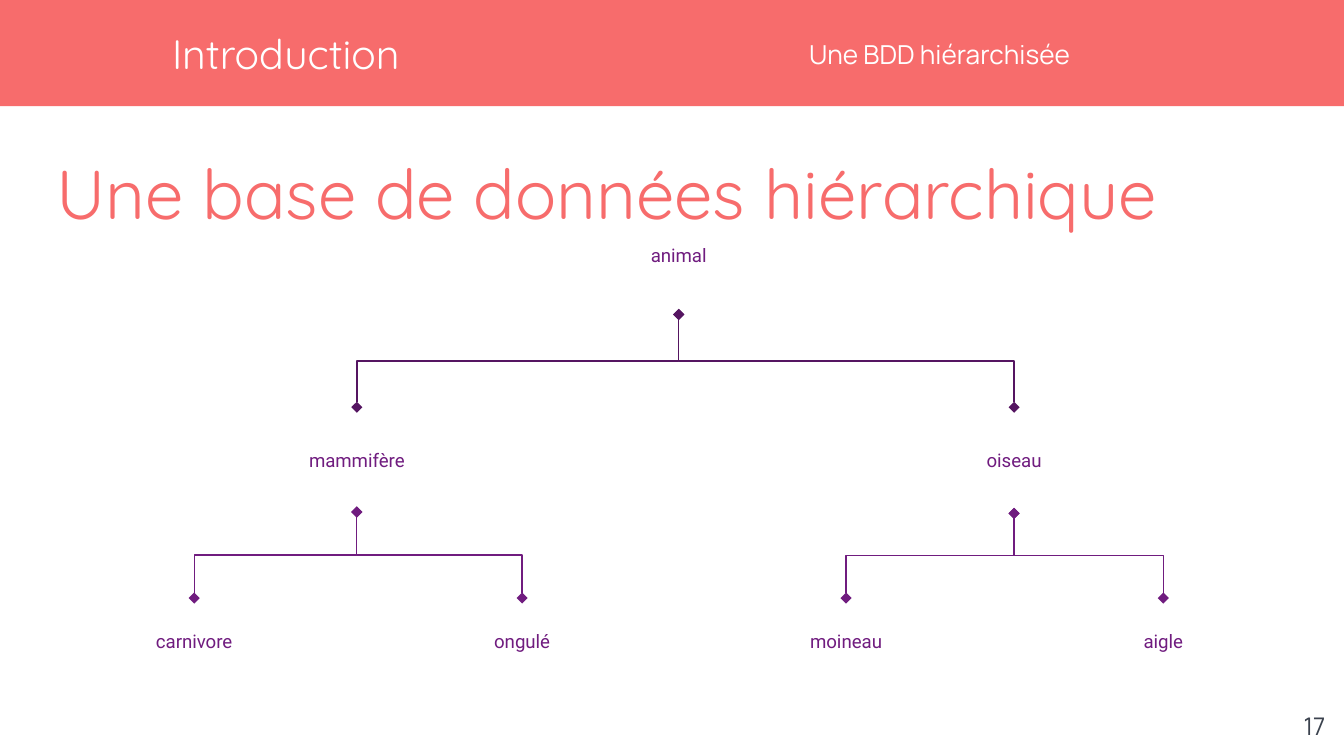
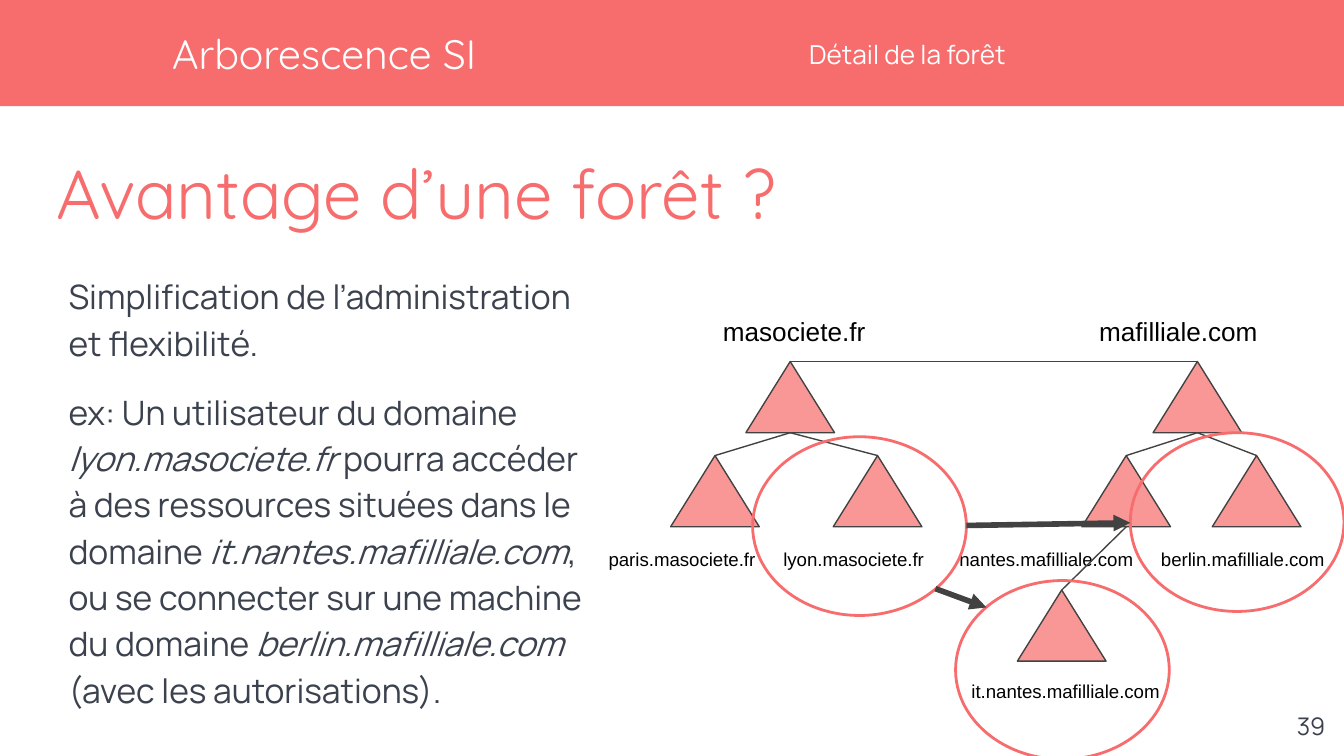
from dataclasses import dataclass
from typing import NamedTuple

from lxml.etree import SubElement
from pptx import Presentation
from pptx.dml.color import RGBColor
from pptx.enum.shapes import MSO_CONNECTOR as Connector, MSO_SHAPE as Preset
from pptx.enum.text import MSO_ANCHOR as Anchor, MSO_AUTO_SIZE as AutoSize, PP_ALIGN as Align
from pptx.oxml.ns import qn
from pptx.util import Emu, Inches, Pt

SLIDE_WIDTH, SLIDE_HEIGHT = Inches(10), Inches(5.625)
COLUMN = SLIDE_WIDTH / 100
ROW = SLIDE_HEIGHT / 56.25
COMPARISON_LAYOUT = 4


class Box(NamedTuple):
    """An area in grid columns and rows."""
    left: float
    top: float
    width: float
    height: float

    @property
    def center(self) -> float:
        return self.left + self.width / 2

    @property
    def bottom(self) -> float:
        return self.top + self.height

    def lengths(self) -> tuple:
        return (columns(self.left), rows(self.top), columns(self.width), rows(self.height))


class Point(NamedTuple):
    column: float
    row: float


@dataclass(frozen=True)
class TextStyle:
    font: str
    size: float
    color: str
    align: Align = Align.LEFT
    anchor: Anchor = Anchor.MIDDLE
    inset: float = 0
    spacing: float = 1.0
    wrap: bool = True


@dataclass(frozen=True)
class Theme:
    coral: str = "F76C6C"
    pink: str = "F99797"
    plum: str = "551561"
    purple: str = "701C7F"
    gray: str = "424242"
    thin: float = 0.75
    ring: float = 1.5
    thick: float = 3
    section: TextStyle = TextStyle("Quicksand", 22, "FFFFFF")
    topic: TextStyle = TextStyle("Manrope", 14, "FFFFFF")
    heading: TextStyle = TextStyle("Quicksand", 37, "F76C6C", anchor=Anchor.TOP)
    body: TextStyle = TextStyle("Manrope", 18, "3B424E", spacing=1.15)
    number: TextStyle = TextStyle("Manrope", 13, "3B424E", Align.RIGHT, Anchor.TOP, 1)
    node: TextStyle = TextStyle("Roboto", 10, "701C7F", Align.CENTER, inset=1)
    root_domain: TextStyle = TextStyle("Arial", 14, "000000", anchor=Anchor.TOP, inset=1, wrap=False)
    domain: TextStyle = TextStyle("Arial", 10, "000000", anchor=Anchor.TOP, inset=1, wrap=False)


THEME = Theme()
BAND = Box(-0.2, 0, 100.4, 7.9)
SECTION = Box(12.8, 0, 46.9, 7.9)
TOPIC = Box(60.2, 2.1, 38.4, 3.9)
HEADING = Box(4.2, 11.2, 92.6, 5.8)
NUMBER = Box(93.6, 51.9, 6, 4.3)


@dataclass(frozen=True)
class Node:
    text: str
    box: Box
    color: str = THEME.purple
    children: tuple = ()


@dataclass(frozen=True)
class Domain:
    name: str
    apex: Point
    label: Box
    style: TextStyle = THEME.domain
    children: tuple = ()


class BodyText(NamedTuple):
    placeholder: int
    box: Box
    pieces: tuple


LEAF_TOP, LEAF_HEIGHT = 44.5, 6.4
ANIMALS = Node("animal", Box(42.1, 14.5, 16.8, 8.9), THEME.plum, (
    Node("mammifère", Box(16.9, 30.3, 19.3, 7.8), children=(
        Node("carnivore", Box(2.3, LEAF_TOP, 24.3, LEAF_HEIGHT)),
        Node("ongulé", Box(26.7, LEAF_TOP, 24.3, LEAF_HEIGHT)))),
    Node("oiseau", Box(64.7, 30.3, 21.5, 7.9), children=(
        Node("moineau", Box(51, LEAF_TOP, 23.9, LEAF_HEIGHT)),
        Node("aigle", Box(74.6, LEAF_TOP, 23.9, LEAF_HEIGHT)))),
))

TRIANGLE_WIDTH, TRIANGLE_HEIGHT = 6.6, 5.3
ROOT_ROW, CHILD_ROW, GRANDCHILD_ROW = 26.9, 33.9, 43.9
ROOT_LABEL, CHILD_LABEL = 22.5, 39.8
FOREST = (
    Domain("masociete.fr", Point(58.8, ROOT_ROW), Box(52.8, ROOT_LABEL, 13.3, 4.4),
           THEME.root_domain, (
        Domain("paris.masociete.fr", Point(53.2, CHILD_ROW), Box(44.3, CHILD_LABEL, 13, 3.7)),
        Domain("lyon.masociete.fr", Point(65.3, CHILD_ROW), Box(57.3, CHILD_LABEL, 12.7, 3.7)))),
    Domain("mafilliale.com", Point(89.1, ROOT_ROW), Box(80.8, ROOT_LABEL, 14.6, 4.4),
           THEME.root_domain, (
        Domain("nantes.mafilliale.com", Point(83.8, CHILD_ROW), Box(70.4, CHILD_LABEL, 15.4, 3.7),
               children=(Domain("it.nantes.mafilliale.com", Point(79, GRANDCHILD_ROW),
                                Box(71.3, 49.6, 16.7, 3.7)),)),
        Domain("berlin.mafilliale.com", Point(93.5, CHILD_ROW),
               Box(85.4, CHILD_LABEL, 14.6, 3.7)))),
)
RING_WIDTH, RING_HEIGHT = 15.9, 13.3
RINGS = (Point(56, 32.5), Point(84.1, 32.2), Point(71.1, 43.2))
ACCESS_ARROWS = ((Point(71.9, 39.1), Point(84.1, 38.9)),
                 (Point(69.6, 43.8), Point(73.4, 45.2)))

# Every second piece is italic.
FOREST_TEXTS = (
    BodyText(2, Box(5.1, 19.4, 39.3, 8.3),
             ("Simplification de l’administration et flexibilité.",)),
    BodyText(4, Box(5.1, 27.6, 39, 26.3), (
        "ex: Un utilisateur du domaine ", "lyon.masociete.fr",
        " pourra accéder à des ressources situées dans le domaine ",
        "it.nantes.mafilliale.com", ", ou se connecter sur une machine du domaine ",
        "berlin.mafilliale.com", " (avec les autorisations).")),
)


def columns(count: float) -> Emu:
    return Emu(round(count * COLUMN))


def rows(count: float) -> Emu:
    return Emu(round(count * ROW))


def write_text(shape, pieces: tuple, style: TextStyle) -> None:
    """Fill a shape with one paragraph whose odd-indexed pieces are italic."""
    frame = shape.text_frame
    frame.auto_size = AutoSize.NONE
    frame.word_wrap = style.wrap
    frame.vertical_anchor = style.anchor
    frame.margin_left = frame.margin_right = columns(style.inset)
    frame.margin_top = frame.margin_bottom = rows(style.inset)
    paragraph = frame.paragraphs[0]
    paragraph.alignment = style.align
    paragraph.line_spacing = style.spacing
    paragraph.space_before = Pt(0)
    properties = paragraph._p.get_or_add_pPr()
    properties.set("marL", "0")
    properties.set("indent", "0")
    SubElement(properties, qn("a:buNone"))
    font = paragraph.font
    font.name, font.size, font.bold = style.font, Pt(style.size), False
    font.color.rgb = RGBColor.from_string(style.color)
    for index, piece in enumerate(pieces):
        run = paragraph.add_run()
        run.text = piece
        if index % 2:
            run.font.italic = True


def add_label(slide, text: str, box: Box, style: TextStyle) -> None:
    write_text(slide.shapes.add_textbox(*box.lengths()), (text,), style)


def fill_placeholder(slide, index: int, box: Box, pieces: tuple, style: TextStyle) -> None:
    placeholder = slide.placeholders[index]
    placeholder.left, placeholder.top, placeholder.width, placeholder.height = box.lengths()
    write_text(placeholder, pieces, style)


def add_preset(slide, preset: Preset, box: Box, fill: str = "", line: str = "", width: float = 0):
    shape = slide.shapes.add_shape(preset, *box.lengths())
    shape.shadow.inherit = False
    if fill:
        shape.fill.solid()
        shape.fill.fore_color.rgb = RGBColor.from_string(fill)
    else:
        shape.fill.background()
    if line:
        shape.line.color.rgb = RGBColor.from_string(line)
        shape.line.width = Pt(width)
    else:
        shape.line.fill.background()
    return shape


def add_line(slide, start: Point, end: Point, color: str, width: float,
             kind: Connector = Connector.STRAIGHT, head: str = "", tail: str = ""):
    connector = slide.shapes.add_connector(
        kind, columns(start.column), rows(start.row), columns(end.column), rows(end.row))
    connector.line.color.rgb = RGBColor.from_string(color)
    connector.line.width = Pt(width)
    outline = connector.line._get_or_add_ln()
    for tag, arrow in (("a:headEnd", head), ("a:tailEnd", tail)):
        if arrow:
            SubElement(outline, qn(tag)).set("type", arrow)
    SubElement(connector._element.spPr, qn("a:effectLst"))
    return connector


def add_branch(slide, parent: Node, child: Node) -> None:
    """Draw an elbow that leaves the parent downwards: a sideways elbow turned by 270°."""
    top, bottom = parent.box.bottom, child.box.top
    shift = child.box.center - parent.box.center
    drop, reach = bottom - top, abs(shift)
    middle = Point((parent.box.center + child.box.center) / 2, (top + bottom) / 2)
    side = drop / 2 if shift > 0 else -drop / 2
    connector = add_line(
        slide, Point(middle.column + side, middle.row - reach / 2),
        Point(middle.column - side, middle.row + reach / 2),
        parent.color, THEME.thin, Connector.ELBOW, "diamond", "diamond")
    connector._element.spPr.find(qn("a:xfrm")).set("rot", "16200000")


def add_node(slide, node: Node) -> None:
    add_label(slide, node.text, node.box, THEME.node)
    for child in node.children:
        add_branch(slide, node, child)
        add_node(slide, child)


def add_domain(slide, domain: Domain) -> None:
    column, row = domain.apex
    add_preset(slide, Preset.ISOSCELES_TRIANGLE,
               Box(column - TRIANGLE_WIDTH / 2, row, TRIANGLE_WIDTH, TRIANGLE_HEIGHT),
               THEME.pink, THEME.gray, THEME.thin)
    add_label(slide, domain.name, domain.label, domain.style)
    for child in domain.children:
        add_domain(slide, child)
        add_line(slide, Point(column, row + TRIANGLE_HEIGHT), child.apex, THEME.gray, THEME.thin)


def add_page(presentation, section: str, topic: str, heading: str, number: int,
             texts: tuple = ()):
    slide = presentation.slides.add_slide(presentation.slide_layouts[COMPARISON_LAYOUT])
    fill_placeholder(slide, 0, HEADING, (heading,), THEME.heading)
    fill_placeholder(slide, 1, SECTION, (section,), THEME.section)
    fill_placeholder(slide, 3, TOPIC, (topic,), THEME.topic)
    for text in texts:
        fill_placeholder(slide, text.placeholder, text.box, text.pieces, THEME.body)
    for placeholder in list(slide.placeholders):
        if not placeholder.text_frame.text:
            placeholder._element.getparent().remove(placeholder._element)
    add_label(slide, str(number), NUMBER, THEME.number)
    return slide


def move_to_layout(slide, shape) -> None:
    """Put a shape behind everything on all slides of the same layout."""
    slide.slide_layout.shapes.element.insert(2, shape._element)


def main() -> None:
    presentation = Presentation()
    presentation.slide_width, presentation.slide_height = SLIDE_WIDTH, SLIDE_HEIGHT

    hierarchy = add_page(presentation, "Introduction", "Une BDD hiérarchisée",
                         "Une base de données hiérarchique", 17)
    move_to_layout(hierarchy, add_preset(hierarchy, Preset.RECTANGLE, BAND, THEME.coral))
    add_node(hierarchy, ANIMALS)

    forest = add_page(presentation, "Arborescence SI", "Détail de la forêt",
                      "Avantage d’une forêt ?", 39, FOREST_TEXTS)
    for tree in FOREST:
        add_domain(forest, tree)
    add_line(forest, FOREST[0].apex, FOREST[1].apex, THEME.gray, THEME.thin)
    for corner in RINGS:
        add_preset(forest, Preset.OVAL, Box(*corner, RING_WIDTH, RING_HEIGHT),
                   line=THEME.coral, width=THEME.ring)
    for start, end in ACCESS_ARROWS:
        add_line(forest, start, end, THEME.gray, THEME.thick, tail="triangle")

    presentation.save("out.pptx")


if __name__ == "__main__":
    main()
